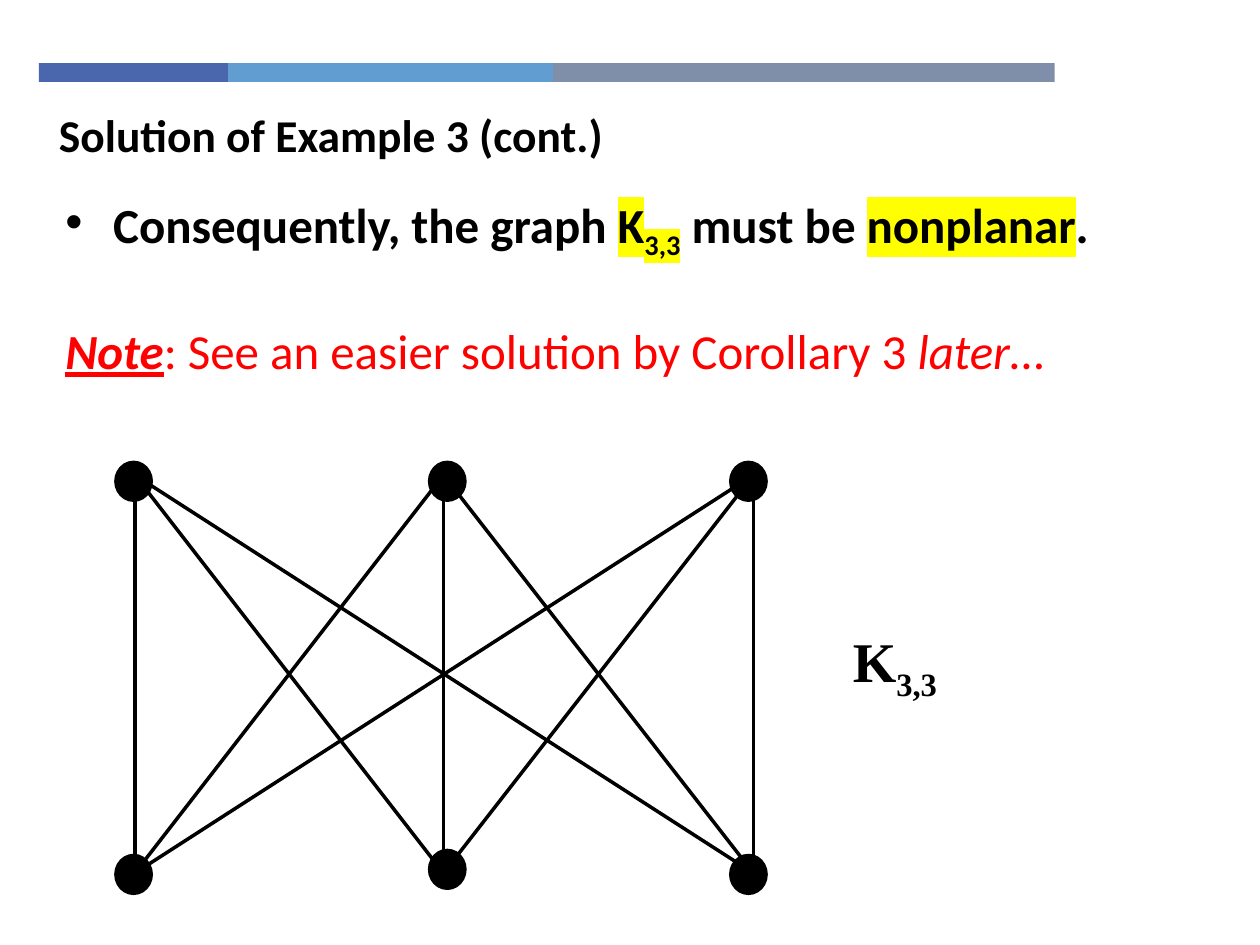
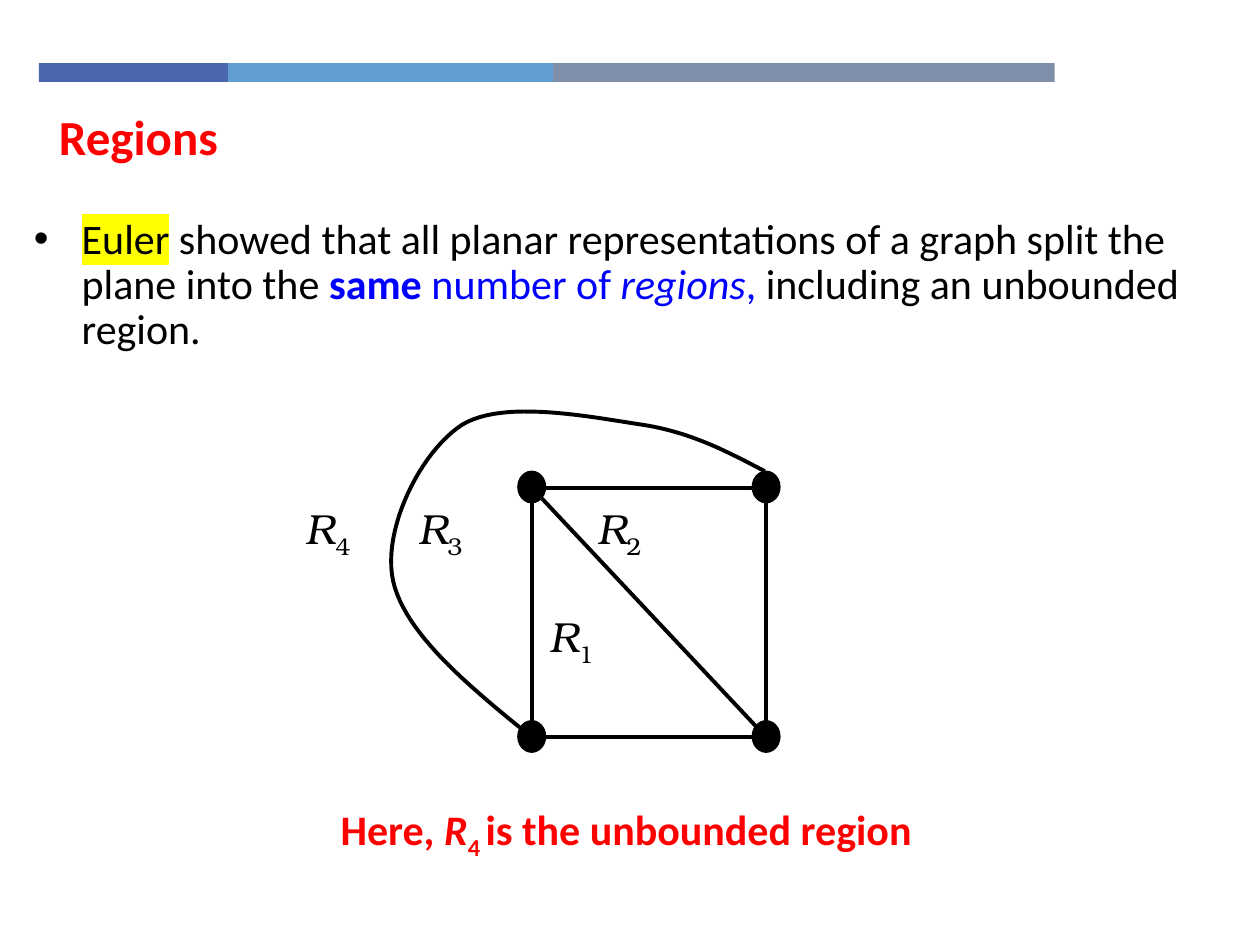
from itertools import product

from lxml import etree
from pptx import Presentation
from pptx import util as u
from pptx.dml.color import RGBColor
from pptx.enum import shapes, text
from pptx.oxml.ns import qn

BLACK = RGBColor(0x00, 0x00, 0x00)
RED = RGBColor(0xFF, 0x00, 0x00)
BLUE = RGBColor(0x00, 0x00, 0xFF)
BAND_INDIGO = RGBColor(0x4A, 0x66, 0xAC)
BAND_SKY = RGBColor(0x62, 0x9D, 0xD1)
BAND_SLATE = RGBColor(0x7F, 0x8F, 0xA9)
HIGHLIGHT = "FFFF00"
BODY_FONT = "Calibri"
LABEL_FONT = "TeX Gyre Bonum"
SERIF_FONT = "Times New Roman"
BANDS = [(1.5, BAND_INDIGO), (2.58, BAND_SKY), (3.98, BAND_SLATE)]


def add_run(paragraph, content, size, font=BODY_FONT, color=BLACK, bold=False,
            italic=False, underline=False, highlight=False, subscript=False):
    """Add one formatted run to a paragraph."""
    run = paragraph.add_run()
    run.text = content
    run.font.size = u.Pt(size)
    run.font.name = font
    run.font.color.rgb = color
    run.font.bold = bold
    run.font.italic = italic
    run.font.underline = underline
    properties = run.font._element
    if subscript:
        properties.set("baseline", "-25000")
    if highlight:
        mark = etree.Element(qn("a:highlight"))
        etree.SubElement(mark, qn("a:srgbClr"), val=HIGHLIGHT)
        properties.find(qn("a:latin")).addprevious(mark)


def add_text(slide, box, paragraphs, wrap=True, **style):
    """Add a text box whose paragraphs are lists of (text, run style) pairs."""
    frame = slide.shapes.add_textbox(*map(u.Inches, box)).text_frame
    frame.word_wrap = wrap
    for index, runs in enumerate(paragraphs):
        paragraph = frame.add_paragraph() if index else frame.paragraphs[0]
        for content, changes in runs:
            add_run(paragraph, content, **{**style, **changes})
    return frame


def add_bullet(paragraph):
    """Give a body paragraph a hanging bullet and tight lines."""
    paragraph.line_spacing = 0.9
    properties = paragraph._p.get_or_add_pPr()
    properties.set("marL", str(u.Inches(0.38)))
    properties.set("indent", str(-u.Inches(0.38)))
    etree.SubElement(properties, qn("a:buFont"), typeface="Arial")
    etree.SubElement(properties, qn("a:buChar"), char="•")


def add_shape(slide, kind, box, fill=None, line_width=None):
    """Add a preset shape with an optional fill and black outline."""
    shape = slide.shapes.add_shape(kind, *map(u.Inches, box))
    shape.shadow.inherit = False
    if fill is None:
        shape.fill.background()
    else:
        shape.fill.solid()
        shape.fill.fore_color.rgb = fill
    if line_width is None:
        shape.line.fill.background()
    else:
        shape.line.color.rgb = BLACK
        shape.line.width = u.Pt(line_width)
    return shape


def add_vertex(slide, left, top, width, height, line_width):
    """Add a black graph vertex."""
    add_shape(slide, shapes.MSO_SHAPE.OVAL, (left, top, width, height), BLACK, line_width)


def add_edge(slide, start, end, width):
    """Add a straight graph edge."""
    edge = slide.shapes.add_connector(
        shapes.MSO_CONNECTOR.STRAIGHT, *map(u.Inches, (*start, *end)))
    edge.line.color.rgb = BLACK
    edge.line.width = u.Pt(width)
    etree.SubElement(edge._element.spPr, qn("a:effectLst"))


def add_curve(slide, start, segments, width, steps=24):
    """Add an open curve through cubic Bezier segments."""
    points = []
    origin = start
    for first, second, end in segments:
        corners = (origin, first, second, end)
        for step in range(1, steps + 1):
            t = step / steps
            weights = ((1 - t) ** 3, 3 * t * (1 - t) ** 2, 3 * t * t * (1 - t), t ** 3)
            points.append(tuple(
                u.Inches(sum(weight * corner[axis] for weight, corner in zip(weights, corners)))
                for axis in (0, 1)))
        origin = end
    builder = slide.shapes.build_freeform(*map(u.Inches, start))
    builder.add_line_segments(points, close=False)
    curve = builder.convert_to_shape()
    curve.shadow.inherit = False
    curve.fill.background()
    curve.line.color.rgb = BLACK
    curve.line.width = u.Pt(width)


def add_titled_slide(presentation, title, size, color):
    """Add a blank slide with the colour bands and a title."""
    slide = presentation.slides.add_slide(presentation.slide_layouts[6])
    left = 0.31
    for width, fill in BANDS:
        add_shape(slide, shapes.MSO_SHAPE.RECTANGLE, (left, 0.5, width, 0.15), fill)
        left += width
    add_text(slide, (0.37, 0.8, 7.16, 0.54), [[(title, {})]],
             size=size, color=color, bold=True)
    return slide


def add_bipartite_graph(slide):
    """Draw K3,3 with every upper vertex joined to every lower one."""
    columns = (1.07, 3.52, 5.98)
    for upper, lower in product(columns, columns):
        add_edge(slide, (upper, 3.77), (lower, 6.93), 2)
    for left, lower_top in ((0.92, 6.79), (3.41, 6.75), (5.8, 6.79)):
        for top in (3.67, lower_top):
            add_vertex(slide, left, top, 0.28, 0.3, 2)


def add_region_graph(slide):
    """Draw the planar graph and label its four regions."""
    left, top, width, height = 4.22, 3.87, 1.86, 1.98
    right, bottom = left + width, top + height
    add_shape(slide, shapes.MSO_SHAPE.RECTANGLE, (left, top, width, height), line_width=2.25)
    add_edge(slide, (left, top), (right, bottom), 2.25)
    for x, y in product((left, right), (top, bottom)):
        add_vertex(slide, x - 0.11, y - 0.13, 0.22, 0.25, 0.75)
    add_curve(slide, (6.07, 3.74), [
        ((5.78, 3.59), (5.49, 3.43), (5.09, 3.37)),
        ((4.69, 3.31), (4, 3.17), (3.67, 3.37)),
        ((3.34, 3.58), (3.03, 4.2), (3.12, 4.61)),
        ((3.21, 5.02), (3.71, 5.44), (4.22, 5.85)),
    ], 2.25)
    for number, x, y in (("4", 2.33, 3.94), ("3", 3.22, 3.94),
                         ("2", 4.64, 3.94), ("1", 4.26, 4.8)):
        add_text(slide, (x, y, 0.6, 0.5),
                 [[("R", {"italic": True}), (number, {"subscript": True})]],
                 wrap=False, size=24, font=LABEL_FONT)


def build_solution_slide(presentation):
    """Build the slide that concludes Example 3."""
    slide = add_titled_slide(presentation, "Solution of Example 3 (cont.)", 26, BLACK)
    conclusion = [
        ("Consequently, the graph ", {}),
        ("K", {"highlight": True}),
        ("3,3", {"highlight": True, "subscript": True}),
        (" must be ", {}),
        ("nonplanar", {"highlight": True}),
        (".", {}),
    ]
    remark = {"color": RED, "bold": False}
    note = [
        ("Note", {"color": RED, "italic": True, "underline": True}),
        (": See an easier solution by Corollary 3 ", remark),
        ("later", {**remark, "italic": True}),
        ("…", remark),
    ]
    body = add_text(slide, (0.42, 1.5, 9.17, 1.58), [conclusion, note], size=28, bold=True)
    add_bullet(body.paragraphs[0])
    body.paragraphs[1].line_spacing = 0.9
    body.paragraphs[1].space_before = u.Pt(41)
    add_text(slide, (6.67, 4.92, 1.08, 0.63), [[("K", {}), ("3,3", {"subscript": True})]],
             size=32, font=SERIF_FONT, bold=True)
    add_bipartite_graph(slide)


def build_regions_slide(presentation):
    """Build the slide that introduces regions."""
    slide = add_titled_slide(presentation, "Regions", 28, RED)
    body = add_text(slide, (0.17, 1.68, 9.75, 1.24), [[
        ("Euler", {"highlight": True}),
        (" showed that all planar representations of a graph split the plane into the ", {}),
        ("same", {"color": BLUE, "bold": True}),
        (" number of ", {"color": BLUE}),
        ("regions", {"color": BLUE, "italic": True}),
        (",", {"color": BLUE}),
        (" including an unbounded region.", {}),
    ]], size=24)
    add_bullet(body.paragraphs[0])
    add_region_graph(slide)
    caption = add_text(slide, (2.57, 6.33, 4.8, 0.5), [[
        ("Here, ", {}),
        ("R", {"italic": True}),
        ("4 ", {"subscript": True}),
        ("is the unbounded region", {}),
    ]], wrap=False, size=24, color=RED, bold=True)
    caption.paragraphs[0].alignment = text.PP_ALIGN.CENTER


def main():
    """Build and save the presentation."""
    presentation = Presentation()
    presentation.slide_width = u.Inches(10)
    presentation.slide_height = u.Inches(7.5)
    build_solution_slide(presentation)
    build_regions_slide(presentation)
    presentation.save("out.pptx")


if __name__ == "__main__":
    main()
